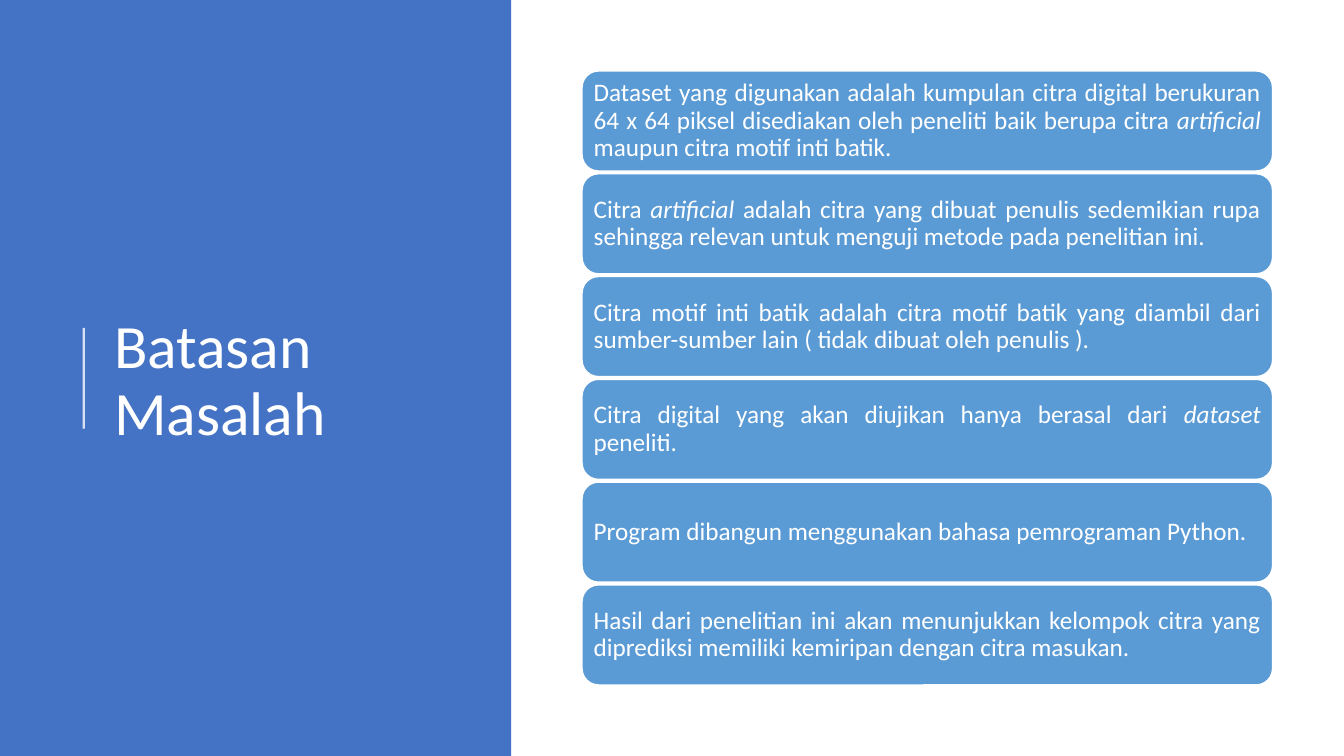
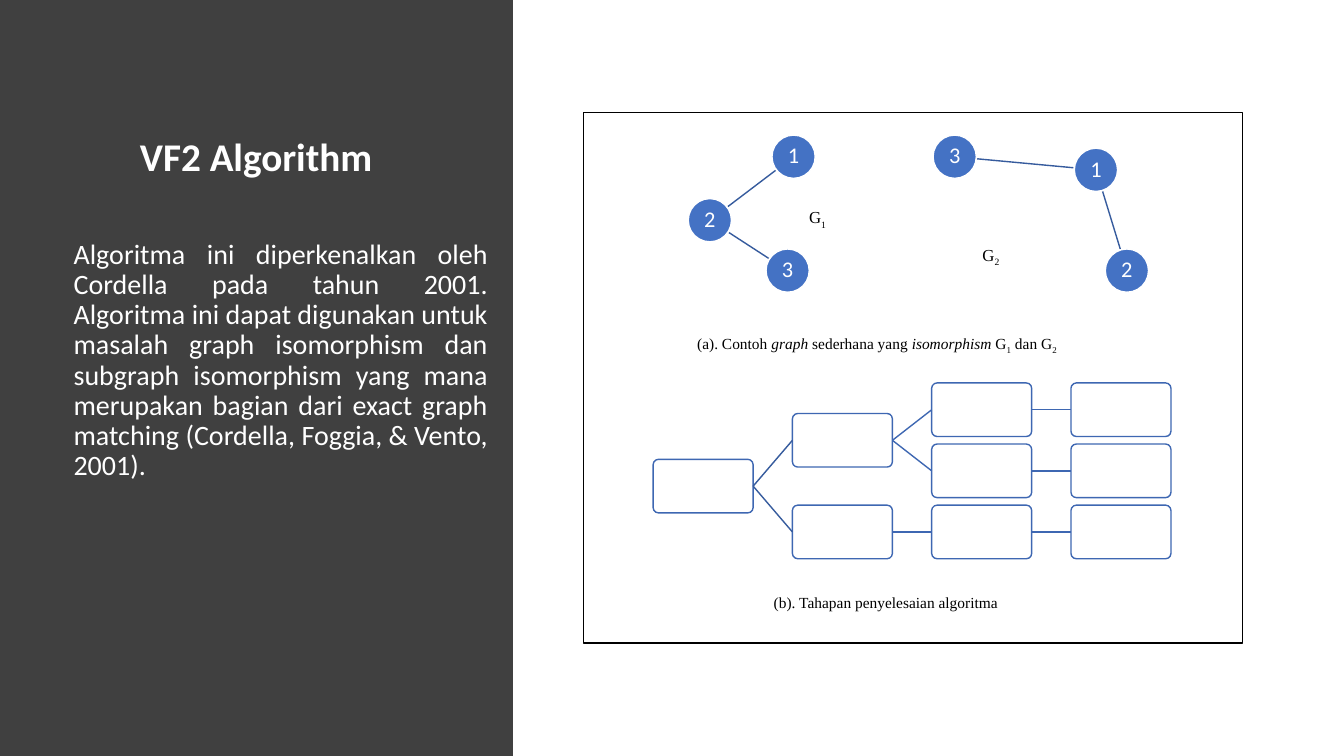
import math
from lxml import etree
from pptx import Presentation
from pptx import util as u
from pptx.dml.color import RGBColor
from pptx.enum import shapes, text
from pptx.oxml import ns

HUES = {"blue": "4472C4", "sky": "5B9BD5", "gray": "404040", "white": "FFFFFF",
        "black": "000000", "edge": "365B9D", "rim": "3E67B2"}
KIND = shapes.MSO_SHAPE
SIDE = text.PP_ALIGN
MID = text.MSO_ANCHOR.MIDDLE
TOP = text.MSO_ANCHOR.TOP


def hue(name):
    return RGBColor.from_string(HUES[name])


def box(left, top, width, height):
    return [u.Cm(n) for n in (left, top, width, height)]


class Deck:
    sans = "Calibri"
    serif = "Times New Roman"

    def __init__(self):
        self.file = Presentation()
        self.file.slide_width, self.file.slide_height = u.Cm(33.87), u.Cm(19.05)
        self.slide = None

    def page(self, layout, fill, width):
        self.slide = self.file.slides.add_slide(self.file.slide_layouts[layout])
        panel = self.shape(KIND.RECTANGLE, (0, 0, width, 19.05), fill)
        self.slide.shapes._spTree.insert(2, panel._element)

    def shape(self, kind, area, fill=None, rim=None, width=1):
        item = self.slide.shapes.add_shape(kind, *box(*area))
        item.shadow.inherit = False
        if fill:
            item.fill.solid()
            item.fill.fore_color.rgb = hue(fill)
        else:
            item.fill.background()
        if rim:
            item.line.color.rgb = hue(rim)
            item.line.width = u.Pt(width)
        else:
            item.line.fill.background()
        return item

    def label(self, item, runs, size, color="white", font=None, align=SIDE.LEFT,
              space=0.9, anchor=MID, pad=None, before=0, after=0):
        frame = item.text_frame
        frame.word_wrap = True
        frame.auto_size = text.MSO_AUTO_SIZE.NONE
        frame.vertical_anchor = anchor
        if pad is not None:
            frame.margin_left = frame.margin_right = u.Cm(pad)
            frame.margin_top = frame.margin_bottom = u.Cm(pad)
        para = frame.paragraphs[0]
        para.alignment = align
        para.line_spacing = space
        para.space_before, para.space_after = u.Pt(before), u.Pt(after)
        for words, mark in runs:
            run = para.add_run()
            run.text = words
            run.font.name = font or self.sans
            run.font.size = u.Pt(size)
            run.font.color.rgb = hue(color)
            run.font.bold = mark == "bold"
            run.font.italic = mark == "slant"
            if mark == "sub":
                run._r.get_or_add_rPr().set("baseline", "-25000")

    def place(self, item, area):
        item.left, item.top, item.width, item.height = box(*area)
        return item

    def title(self, area, runs, size, **style):
        self.label(self.place(self.slide.shapes.title, area), runs, size, **style)

    def body(self, area, runs, size):
        item = self.place(self.slide.placeholders[1], area)
        self.label(item, runs, size, align=SIDE.JUSTIFY, anchor=TOP, before=10)
        props = item.text_frame.paragraphs[0]._p.get_or_add_pPr()
        props.set("marL", "0")
        props.set("indent", "0")
        etree.SubElement(props, ns.qn("a:buNone"))

    def note(self, area, runs, size):
        item = self.slide.shapes.add_textbox(*box(*area))
        self.label(item, runs, size, "black", self.serif, SIDE.JUSTIFY, 2, TOP)

    def line(self, start, end, color, width=1, alpha=None):
        item = self.slide.shapes.add_connector(
            shapes.MSO_CONNECTOR.STRAIGHT, *[u.Cm(n) for n in (*start, *end)])
        item.line.color.rgb = hue(color)
        item.line.width = u.Pt(width)
        props = item._element.spPr
        if alpha:
            tint = props.find(".//" + ns.qn("a:srgbClr"))
            etree.SubElement(tint, ns.qn("a:alpha")).set("val", str(alpha * 1000))
        etree.SubElement(props, ns.qn("a:effectLst"))
        return item

    def join(self, left, right, color):
        link = self.line((0, 0), (1, 1), color)
        link.begin_connect(left, 3)
        link.end_connect(right, 1)

    def card(self, area, runs):
        item = self.shape(KIND.ROUNDED_RECTANGLE, area, "sky", "white", 1.5)
        self.label(item, runs, 18, align=SIDE.JUSTIFY, pad=0.18)

    def graph(self, nodes, edges):
        size, trim = 1.09, 0.57
        for start, end in edges:
            (ax, ay), (bx, by) = nodes[start], nodes[end]
            part = trim / math.hypot(bx - ax, by - ay)
            dx, dy = (bx - ax) * part, (by - ay) * part
            self.line((ax + dx, ay + dy), (bx - dx, by - dy), "edge")
        for name, (x, y) in nodes.items():
            area = (x - size / 2, y - size / 2, size, size)
            dot = self.shape(KIND.OVAL, area, "blue", "white")
            self.label(dot, [(name, "")], 16, align=SIDE.CENTER, pad=0.03)

    def tree(self, cells, links):
        made = {}
        for name, (col, row) in cells.items():
            area = (16.46 + 3.51 * col, 9.65 + 1.54 * row, 2.52, 1.35)
            made[name] = self.shape(KIND.ROUNDED_RECTANGLE, area, "white", "rim")
            made[name].adjustments[0] = 0.1
        for start, end in links:
            color = "edge" if start == "root" else "rim"
            self.join(made[start], made[end], color)


def limits(deck):
    deck.page(5, "blue", 12.88)
    deck.title((2.62, 1.98, 9.37, 15.29), [("Batasan Masalah", "")], 44, after=6)
    deck.line((2.11, 10.8), (2.11, 8.26), "white", 1.5, 80)
    cards = [
        [("Dataset yang digunakan adalah kumpulan citra digital berukuran 64 x 64 piksel "
          "disediakan oleh peneliti baik berupa citra ", ""),
         ("artificial ", "slant"), ("maupun citra motif inti batik.", "")],
        [("Citra ", ""), ("artificial", "slant"),
         (" adalah citra yang dibuat penulis sedemikian rupa sehingga relevan untuk "
          "menguji metode pada penelitian ini.", "")],
        [("Citra motif inti batik adalah citra motif batik yang diambil dari "
          "sumber-sumber lain ( tidak dibuat oleh penulis ).", "")],
        [("Citra digital yang akan diujikan hanya berasal dari ", ""),
         ("dataset ", "slant"), ("peneliti.", "")],
        [("Program dibangun menggunakan bahasa pemrograman Python.", "")],
        [("Hasil dari penelitian ini akan menunjukkan kelompok citra yang diprediksi "
          "memiliki kemiripan dengan citra masukan.", "")],
    ]
    for row, runs in enumerate(cards):
        deck.card((14.66, 1.78 + 2.59 * row, 17.42, 2.54), runs)


def method(deck):
    deck.page(1, "gray", 12.93)
    deck.title((1.78, 1.78, 9.35, 4.45), [("VF2 Algorithm", "bold")], 28,
               align=SIDE.CENTER)
    deck.body((1.6, 5.92, 10.95, 9.5), [(
        "Algoritma ini diperkenalkan oleh Cordella pada tahun 2001. Algoritma ini dapat "
        "digunakan untuk masalah graph isomorphism dan subgraph isomorphism yang mana "
        "merupakan bagian dari exact graph matching (Cordella, Foggia, & Vento, 2001).",
        "")], 20)
    deck.graph({"2": (17.89, 5.55), "1": (20, 3.95), "3": (19.85, 6.82)}, ["21", "23"])
    deck.graph({"1": (27.62, 4.28), "3": (24.06, 3.95), "2": (28.4, 6.82)}, ["13", "12"])
    deck.note((20.14, 4.52, 1.47, 0.94), [("G", ""), ("1", "sub")], 12)
    deck.note((24.51, 5.46, 1.47, 0.94), [("G", ""), ("2", "sub")], 12)
    deck.note((17.32, 7.77, 11.84, 0.94), [
        ("(a). Contoh ", ""), ("graph ", "slant"), ("sederhana yang ", ""),
        ("isomorphism", "slant"), (" G", ""), ("1", "sub"), (" dan G", ""),
        ("2", "sub")], 11)
    deck.note((19.25, 14.35, 9.3, 1.3), [("(b). Tahapan penyelesaian algoritma", "")], 11)
    cells = {"root": (0, 1.25), "fork": (1, 0.5), "low": (1, 2)}
    links = [("root", "fork"), ("root", "low")]
    for row, base in enumerate(("fork", "fork", "low")):
        near, far = f"near{row}", f"far{row}"
        cells[near], cells[far] = (2, row), (3, row)
        links += [(base, near), (near, far)]
    deck.tree(cells, links)
    deck.shape(KIND.RECTANGLE, (14.71, 2.84, 16.61, 13.36), rim="black")


def main():
    deck = Deck()
    limits(deck)
    method(deck)
    deck.file.save("out.pptx")


if __name__ == "__main__":
    main()
